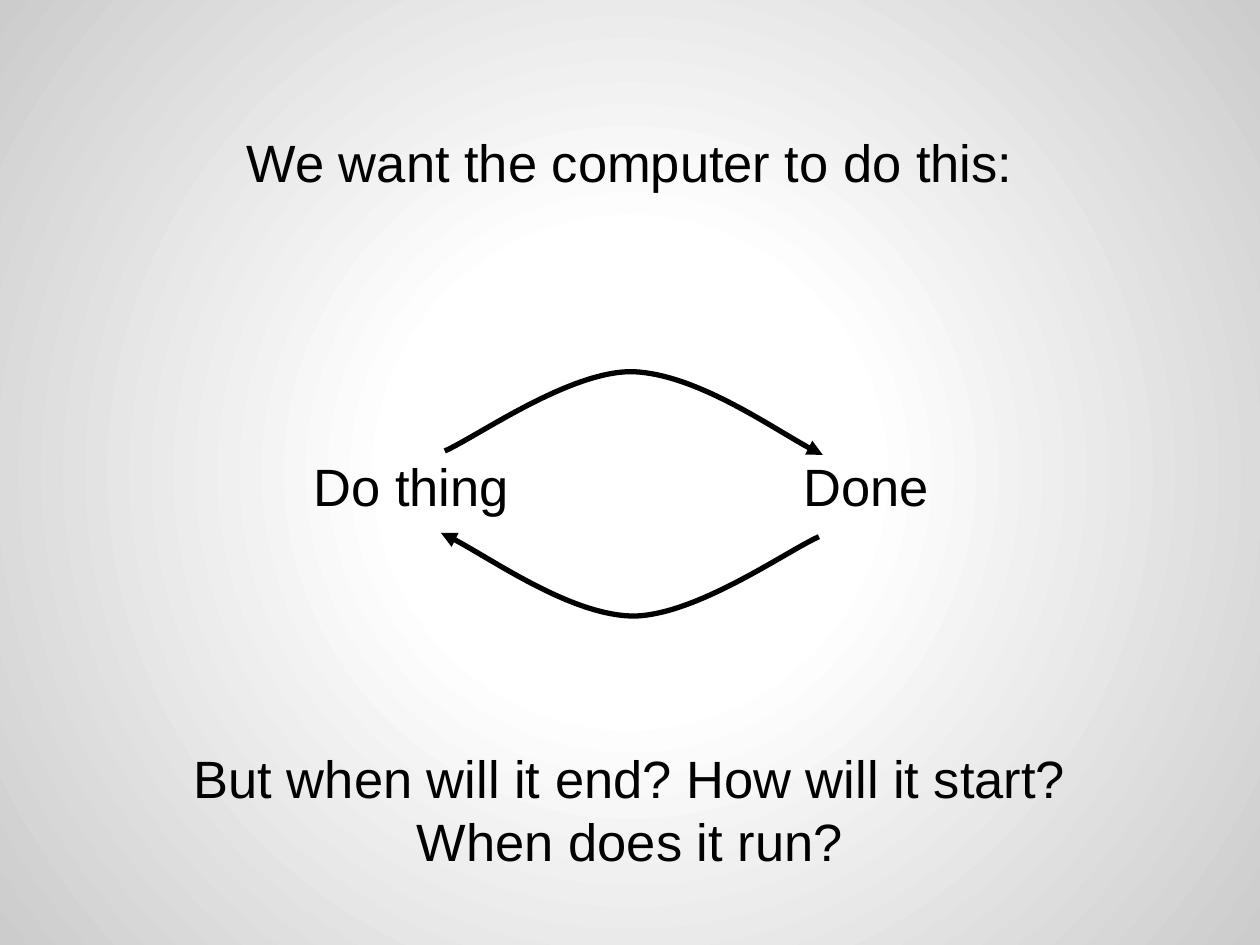
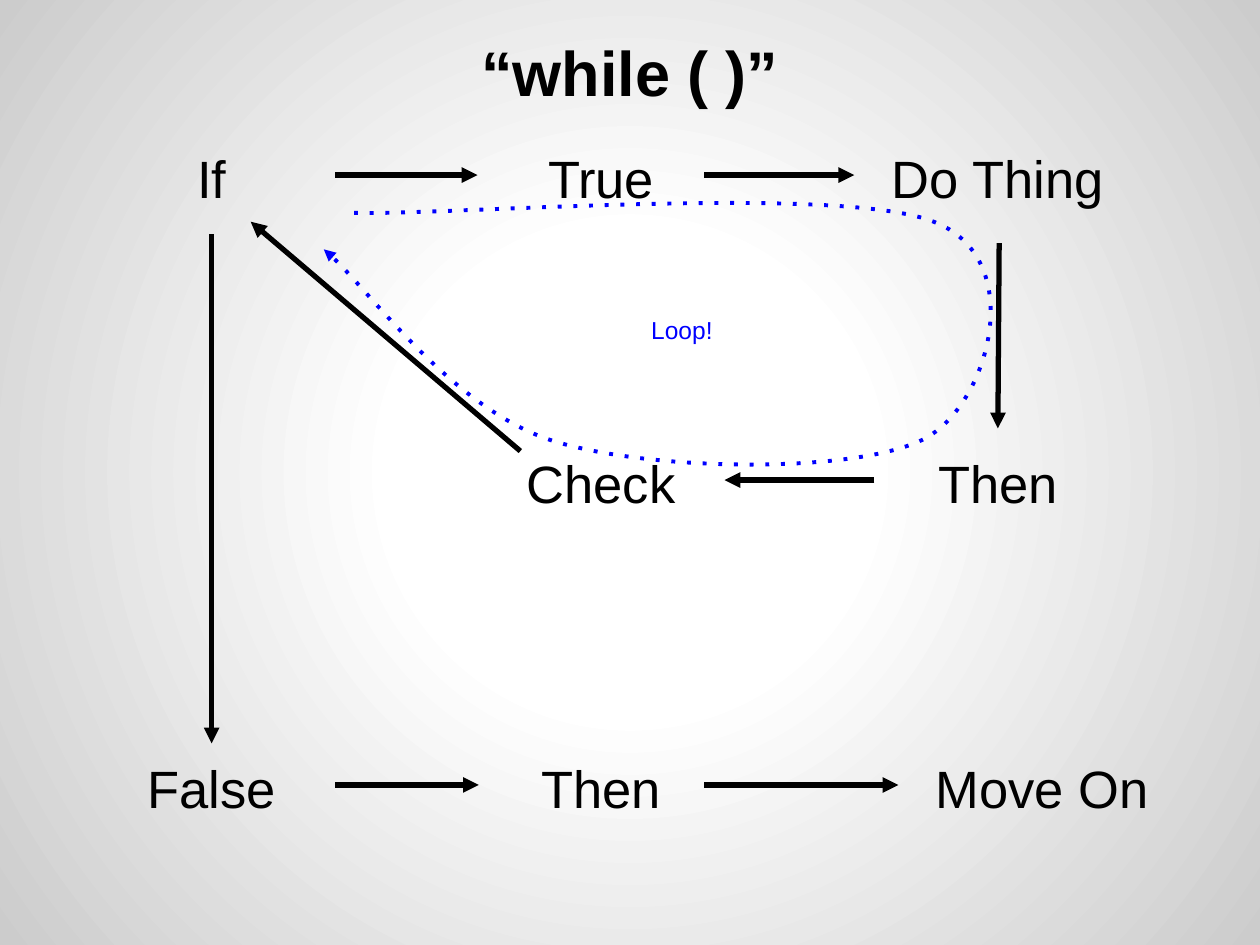
from lxml.etree import SubElement
from pptx import Presentation
from pptx.dml.color import RGBColor
from pptx.enum.shapes import MSO_CONNECTOR
from pptx.enum.text import MSO_ANCHOR, MSO_AUTO_SIZE, PP_ALIGN
from pptx.oxml import parse_xml
from pptx.oxml.ns import nsdecls, qn
from pptx.util import Inches, Pt

BLACK = RGBColor(0x00, 0x00, 0x00)
BLUE = RGBColor(0x00, 0x00, 0xFF)
WHITE = RGBColor(0xFF, 0xFF, 0xFF)
GREY = RGBColor(0xCC, 0xCC, 0xCC)
FONT = "Arial"
MARGIN = Inches(0.1)
LABEL_WIDTH, LABEL_HEIGHT = 1.96, 0.5
IF_COLUMN, TRUE_COLUMN, DO_COLUMN = 0.7, 3.79, 6.94
TOP_ROW, CHECK_ROW, FALSE_ROW = 1.06, 3.48, 5.9
ARROW_DROP = 0.33  # from the top of a row to its arrows


def set_background(master):
    """Give every slide a round glow that fades from white to grey."""
    master.background.fill.solid()
    stops = "".join(
        f'<a:gs pos="{percent * 1000}"><a:srgbClr val="{color}"/></a:gs>'
        for percent, color in ((0, WHITE), (30, WHITE), (100, GREY)))
    glow = parse_xml(
        f'<a:gradFill {nsdecls("a")}><a:gsLst>{stops}</a:gsLst>'
        '<a:path path="circle"><a:fillToRect l="50000" t="50000" r="50000" b="50000"/>'
        '</a:path></a:gradFill>')
    properties = master.element.find(".//" + qn("p:bgPr"))
    properties.replace(properties[0], glow)


def write_text(frame, lines, size, color=BLACK, align=PP_ALIGN.CENTER, bold=False):
    frame.word_wrap = True
    frame.auto_size = MSO_AUTO_SIZE.NONE
    frame.margin_left = frame.margin_right = MARGIN
    frame.margin_top = frame.margin_bottom = MARGIN
    for index, line in enumerate(lines):
        para = frame.add_paragraph() if index else frame.paragraphs[0]
        para.alignment = align
        span = para.add_run()
        span.text = line
        span.font.name = FONT
        span.font.size = Pt(size)
        span.font.bold = bold
        span.font.color.rgb = color


def add_label(page, lines, left, top, width=LABEL_WIDTH, size=30, **style):
    box = page.shapes.add_textbox(
        Inches(left), Inches(top), Inches(width), Inches(LABEL_HEIGHT))
    write_text(box.text_frame, lines, size, **style)
    return box


def set_title(page, text):
    title = page.shapes.title
    title.left, title.top = Inches(0.5), Inches(0.3)
    title.width, title.height = Inches(9), Inches(0.67)
    title.text_frame.vertical_anchor = MSO_ANCHOR.BOTTOM
    write_text(title.text_frame, [text], 36, bold=True)


def style_arrow(arrow, color=BLACK, width=3, dash=None):
    arrow.line.color.rgb = color
    arrow.line.width = Pt(width)
    properties = arrow.element.spPr
    outline = properties.find(qn("a:ln"))
    if dash:
        SubElement(outline, qn("a:prstDash"), val=dash)
    SubElement(outline, qn("a:tailEnd"), type="triangle")
    SubElement(properties, qn("a:effectLst"))


def add_arrow(page, start, end):
    arrow = page.shapes.add_connector(
        MSO_CONNECTOR.STRAIGHT, *(Inches(value) for value in (*start, *end)))
    style_arrow(arrow)
    return arrow


def add_curved_arrow(page, points, **style):
    """Draw Bézier curves: a start, then two controls and an end for each curve."""
    start, *others = [(Inches(x), Inches(y)) for x, y in points]
    builder = page.shapes.build_freeform(*start)
    builder.add_line_segments(others, close=False)
    curve = builder.convert_to_shape()
    segments = list(curve.element.iter(qn("a:lnTo")))
    for first in range(0, len(segments), 3):
        bezier = SubElement(segments[first].getparent(), qn("a:cubicBezTo"))
        for segment in segments[first:first + 3]:
            bezier.append(segment[0])
            segment.getparent().remove(segment)
    curve.fill.background()
    style_arrow(curve, **style)


def build_question_slide(deck):
    page = deck.slides.add_slide(deck.slide_layouts[6])
    add_label(page, ["Do thing"], 6.28 - 3.89, 3.5, 1.82, align=PP_ALIGN.LEFT)
    add_label(page, ["Done"], 6.28, 3.5, 1.28, align=PP_ALIGN.LEFT)
    add_curved_arrow(page, [(3.53, 3.58), (3.78, 3.47), (4.51, 2.95), (5.01, 2.95),
                            (5.51, 2.96), (6.28, 3.5), (6.53, 3.61)])
    add_curved_arrow(page, [(6.5, 4.26), (6.25, 4.37), (5.52, 4.89), (5.02, 4.89),
                            (4.53, 4.88), (3.76, 4.34), (3.5, 4.23)])
    add_label(page, ["We want the computer to do this:"], 0, 0.93, 10)
    add_label(page, ["But when will it end? How will it start?",
                     "When does it run?"], 0, 5.82, 10)


def build_while_slide(deck):
    page = deck.slides.add_slide(deck.slide_layouts[5])
    set_title(page, "“while ( )”")
    steps = [
        ("If", IF_COLUMN, TOP_ROW),
        ("True", TRUE_COLUMN, TOP_ROW),
        ("Do Thing", DO_COLUMN, TOP_ROW),
        ("Check", TRUE_COLUMN, CHECK_ROW),
        ("Then", DO_COLUMN, CHECK_ROW),
        ("Then", TRUE_COLUMN, FALSE_ROW),
        ("Move On", 7.29, FALSE_ROW),
    ]
    for text, left, top in steps:
        add_label(page, [text], left, top)
    false_box = add_label(page, ["False"], IF_COLUMN, FALSE_ROW)

    for row, start, end in [
        (TOP_ROW, 2.66, 3.79), (TOP_ROW, 5.59, 6.78),
        (CHECK_ROW, 6.94, 5.75),
        (FALSE_ROW, 2.66, 3.8), (FALSE_ROW, 5.59, 7.13),
    ]:
        add_arrow(page, (start, row + ARROW_DROP), (end, row + ARROW_DROP))
    add_arrow(page, (7.93, 1.93), (7.92, 3.4))
    add_arrow(page, (4.13, 3.58), (1.99, 1.76))
    if_to_false = add_arrow(page, (1.68, 1.86), (1.68, FALSE_ROW))
    if_to_false.end_connect(false_box, 0)

    add_curved_arrow(page, [(2.81, 1.69), (3.57, 1.71), (6.65, 1.46), (7.41, 1.76),
                            (8.16, 2.05), (7.86, 3.18), (7.36, 3.47),
                            (6.86, 3.76), (5.19, 3.75), (4.39, 3.5),
                            (3.6, 3.25), (2.88, 2.23), (2.57, 1.98)],
                     color=BLUE, width=2.25, dash="dot")
    add_label(page, ["Loop!"], 5.07, 2.4, 0.81, size=14, color=BLUE,
              align=PP_ALIGN.LEFT)


def main():
    deck = Presentation()
    deck.slide_width, deck.slide_height = Inches(10), Inches(7.5)
    set_background(deck.slide_master)
    build_question_slide(deck)
    build_while_slide(deck)
    deck.save("out.pptx")


if __name__ == "__main__":
    main()
